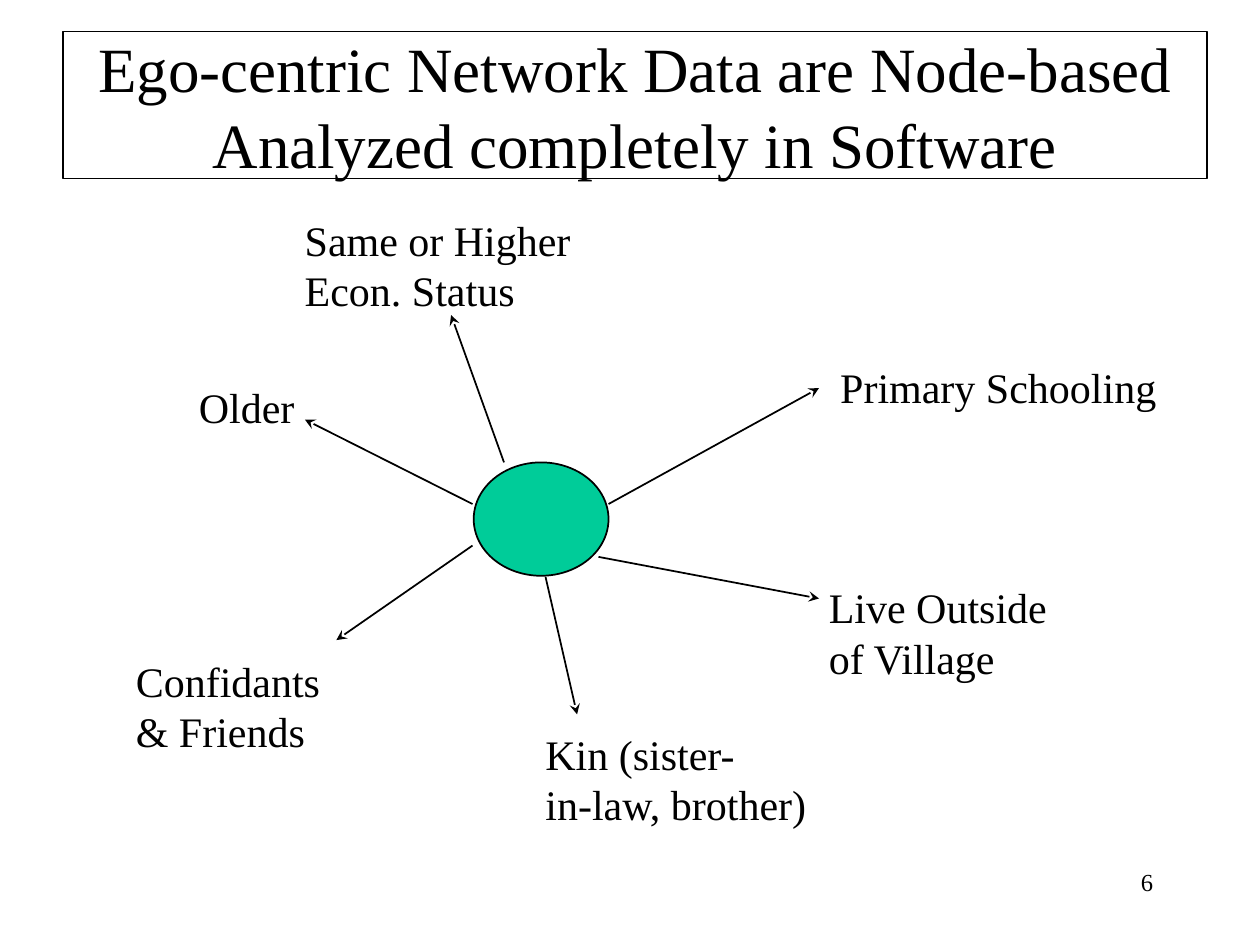
import pptx
import pptx.util
import pptx.dml.color
import pptx.enum.shapes
import pptx.enum.text
import pptx.oxml.ns
from lxml import etree

Inches = pptx.util.Inches
Align = pptx.enum.text.PP_ALIGN
Anchor = pptx.enum.text.MSO_ANCHOR
Shape = pptx.enum.shapes.MSO_SHAPE
qn = pptx.oxml.ns.qn


def color(code):
    return pptx.dml.color.RGBColor.from_string(code)


class Deck:
    font = "Times New Roman"
    ink = "000000"
    green = "00CC99"

    def __init__(self, wide, high):
        self.show = pptx.Presentation()
        self.show.slide_width = Inches(wide)
        self.show.slide_height = Inches(high)
        self.slide = self.show.slides.add_slide(self.show.slide_layouts[6])

    def stroke(self, item, width):
        item.line.color.rgb = color(self.ink)
        item.line.width = pptx.util.Pt(width)

    def words(self, item, text, size, align):
        item.text_frame.text = text
        for para in item.text_frame.paragraphs:
            para.alignment = align
            para.font.name = self.font
            para.font.size = pptx.util.Pt(size)
            para.font.color.rgb = color(self.ink)

    def shape(self, kind, box, width, fill=None):
        item = self.slide.shapes.add_shape(kind, *map(Inches, box))
        item.shadow.inherit = False
        if fill:
            item.fill.solid()
            item.fill.fore_color.rgb = color(fill)
        else:
            item.fill.background()
        self.stroke(item, width)
        return item

    def title(self, text, box):
        item = self.shape(Shape.RECTANGLE, box, 0.75)
        item.text_frame.word_wrap = True
        item.text_frame.vertical_anchor = Anchor.MIDDLE
        self.words(item, text, 36, Align.CENTER)

    def label(self, text, box, size=24, align=Align.LEFT, wrap=False):
        item = self.slide.shapes.add_textbox(*map(Inches, box))
        item.text_frame.word_wrap = wrap
        self.words(item, text, size, align)

    def arrow(self, start, end):
        item = self.slide.shapes.add_connector(
            pptx.enum.shapes.MSO_CONNECTOR.STRAIGHT,
            *map(Inches, start + end))
        self.stroke(item, 1)
        line = item._element.spPr.find(qn("a:ln"))
        etree.SubElement(line, qn("a:tailEnd")).set("type", "stealth")
        etree.SubElement(item._element.spPr, qn("a:effectLst"))


# Label text, left, top, width, arrow start, arrow end
TIES = [
    ("Primary Schooling", 6.57, 2.82, 2.71, (4.83, 4), (6.5, 3.08)),
    ("Same or Higher\nEcon. Status", 2.32, 1.65, 2.31, (4, 3.67), (3.58, 2.5)),
    ("Older", 1.48, 2.98, 0.96, (3.75, 4), (2.42, 3.33)),
    ("Confidants\n& Friends", 0.98, 5.15, 1.67, (3.75, 4.33), (2.67, 5.08)),
    ("Kin (sister-\nin-law, brother)", 4.23, 5.73, 2.29,
     (4.33, 4.58), (4.58, 5.67)),
    ("Live Outside\nof Village", 6.48, 4.57, 1.93, (4.75, 4.42), (6.5, 4.75)),
]


def main():
    deck = Deck(10, 7.5)

    # Page number and title
    deck.label("6", (7.17, 6.83, 2.08, 0.5), 14, Align.RIGHT, True)
    deck.title("Ego-centric Network Data are Node-based\v"
               "Analyzed completely in Software", (0.5, 0.25, 9.08, 1.17))

    # Ego node
    deck.shape(Shape.OVAL, (3.76, 3.67, 1.07, 0.9), 1, deck.green)

    # Ties from the ego to each trait
    for text, left, top, width, start, end in TIES:
        deck.arrow(start, end)
        high = 0.1 + 0.4 * len(text.split("\n"))
        deck.label(text, (left, top, width, high))

    deck.show.save("out.pptx")


if __name__ == "__main__":
    main()
